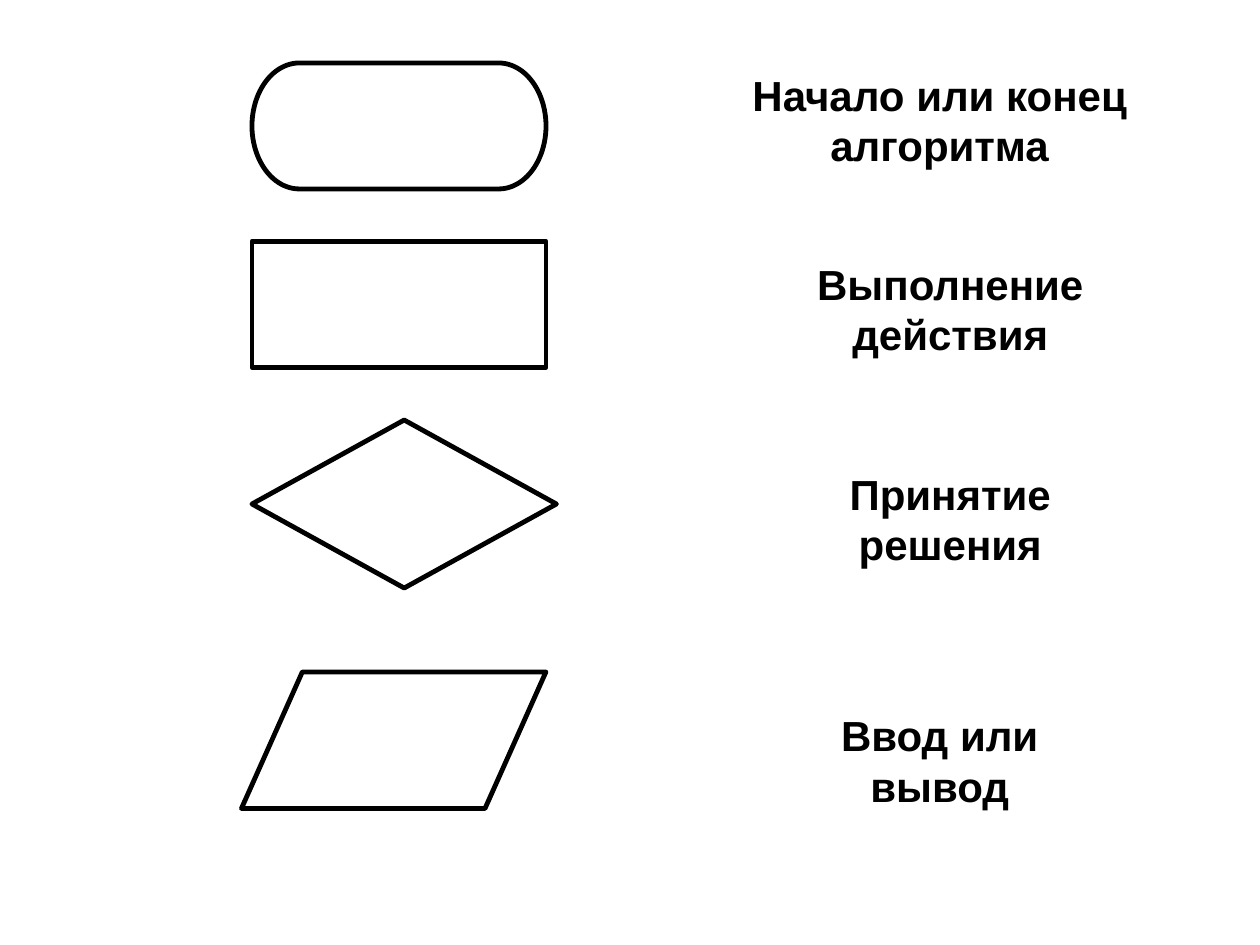
from pptx import Presentation
from pptx.dml.color import RGBColor as Rgb
from pptx.enum.shapes import MSO_SHAPE as Kind
from pptx.enum.text import MSO_AUTO_SIZE as Fit, PP_ALIGN as Align
from pptx.util import Inches, Pt

HUES = {"ink": "000000", "page": "FFFFFF"}
CELL = Inches(1) / 12
WIDE, HIGH = 120, 90
LABEL = 10.8


class Chart:
    """Draws flowchart symbols and their labels on a grid of 120 by 90 cells."""

    def __init__(self, deck):
        self.font, self.size, self.line, self.gap = "Arial", Pt(24), Pt(2.75), Pt(15)
        self.ink = Rgb.from_string(HUES["ink"])
        self.slide = deck.slides.add_slide(deck.slide_layouts[6])
        back = self.slide.background.fill
        back.solid()
        back.fore_color.rgb = Rgb.from_string(HUES["page"])

    def place(self, *cells):
        return [round(n * CELL) for n in cells]

    def symbol(self, kind, *cells):
        shape = self.slide.shapes.add_shape(kind, *self.place(*cells))
        shape.shadow.inherit = False
        shape.fill.background()
        shape.line.color.rgb = self.ink
        shape.line.width = self.line

    def label(self, text, *cells):
        frame = self.slide.shapes.add_textbox(*self.place(*cells)).text_frame
        frame.word_wrap = True
        frame.auto_size = Fit.SHAPE_TO_FIT_TEXT
        frame.text = text
        para = frame.paragraphs[0]
        para.alignment = Align.CENTER
        para.space_before = self.gap
        font = para.runs[0].font
        font.name, font.size, font.bold = self.font, self.size, True
        font.color.rgb = self.ink


def main():
    deck = Presentation()
    deck.slide_width, deck.slide_height = round(WIDE * CELL), round(HIGH * CELL)
    chart = Chart(deck)
    rows = [
        (Kind.FLOWCHART_TERMINATOR, (24, 6, 28, 12), "Начало или конец алгоритма", (66, 6, 47)),
        (Kind.RECTANGLE, (24, 23, 28, 12), "Выполнение действия", (73, 24, 35)),
        (Kind.FLOWCHART_DECISION, (24, 40, 29, 16), "Принятие решения", (73, 44, 35)),
        (Kind.FLOWCHART_DATA, (23, 64, 29, 13), "Ввод или вывод", (72, 67, 35)),
    ]
    for kind, area, text, spot in rows:
        chart.symbol(kind, *area)
        chart.label(text, *spot, LABEL)
    deck.save("out.pptx")


if __name__ == "__main__":
    main()
